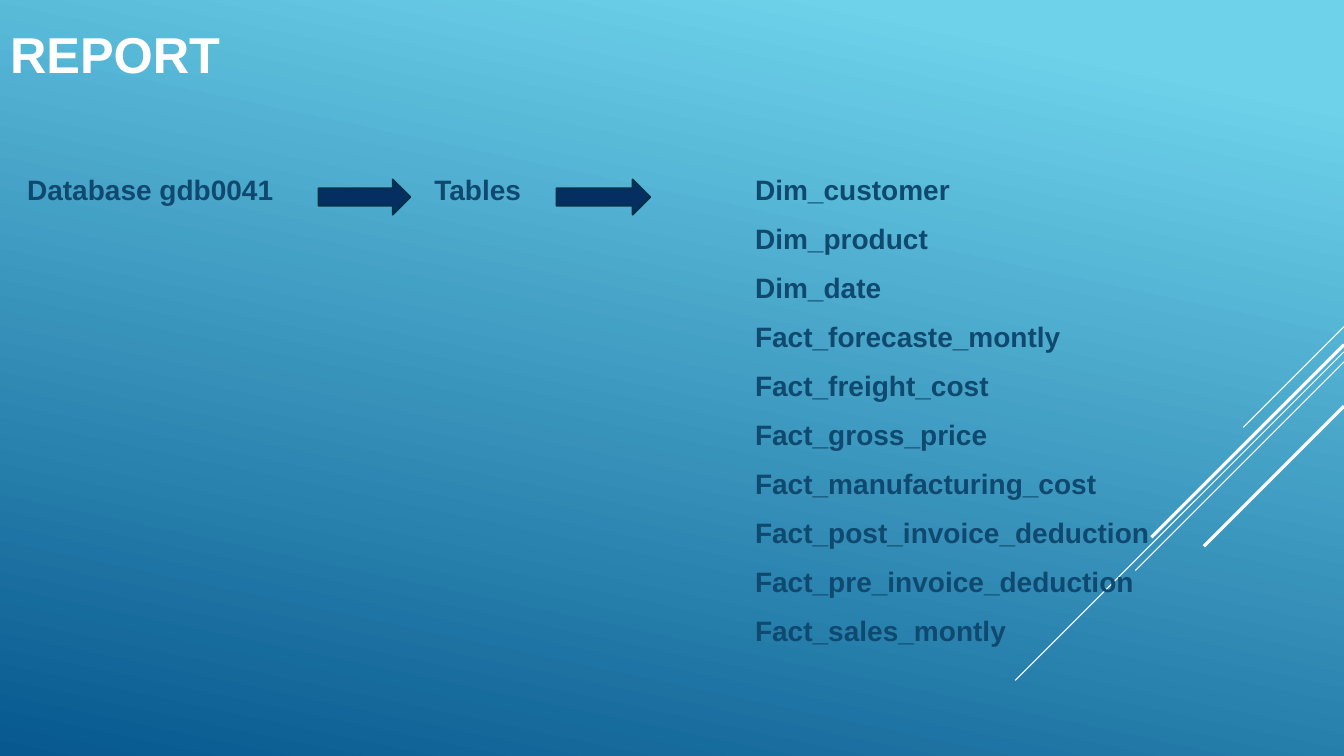
from lxml.etree import SubElement
from pptx import Presentation
from pptx.dml.color import RGBColor
from pptx.enum.shapes import MSO_CONNECTOR, MSO_SHAPE
from pptx.enum.text import MSO_ANCHOR, PP_ALIGN
from pptx.oxml.ns import qn
from pptx.util import Inches, Pt

WHITE = RGBColor(0xFF, 0xFF, 0xFF)
SKY = RGBColor(0x6E, 0xD2, 0xEB)
OCEAN = RGBColor(0x06, 0x58, 0x8E)
INK = RGBColor(0x0F, 0x49, 0x6F)
NAVY = RGBColor(0x05, 0x2F, 0x61)
NAVY_EDGE = RGBColor(0x04, 0x31, 0x48)

SLIDE_WIDTH, SLIDE_HEIGHT = 13.33, 7.5
ROW_TOP, LABEL_HEIGHT = 1.66, 0.7
ARROW_OFFSET, ARROW_HEIGHT = 0.12, 0.35
TABLE_NAMES = [
    "Dim_customer",
    "Dim_product",
    "Dim_date",
    "Fact_forecaste_montly",
    "Fact_freight_cost",
    "Fact_gross_price",
    "Fact_manufacturing_cost",
    "Fact_post_invoice_deduction",
    "Fact_pre_invoice_deduction",
    "Fact_sales_montly",
]
STRIPES = [(3.24, 1.0, 0.75), (3.49, 3.26, 0.75), (3.59, 2.07, 0.75),
           (3.42, 1.91, 2.25), (4.03, 1.39, 2.25)]


def write_text(frame, lines, size=20, color=INK, align=PP_ALIGN.LEFT,
               anchor=MSO_ANCHOR.TOP, before=5, after=6):
    """Fill a text frame with one bold paragraph per line."""
    frame.word_wrap = True
    frame.vertical_anchor = anchor
    for index, line in enumerate(lines):
        paragraph = frame.paragraphs[0] if index == 0 else frame.add_paragraph()
        paragraph.alignment = align
        paragraph.space_before = Pt(before if index else 0)
        paragraph.space_after = Pt(after)
        run = paragraph.add_run()
        run.text = line
        run.font.name = "Arial"
        run.font.size = Pt(size)
        run.font.bold = True
        run.font.color.rgb = color


def paint_background(slide):
    """Apply the sky-to-ocean gradient."""
    fill = slide.background.fill
    fill.gradient()
    fill.gradient_angle = 258
    for stop, position, color in zip(fill.gradient_stops, (0.1, 1), (SKY, OCEAN)):
        stop.position = position
        stop.color.rgb = color


def add_stripes(slide, right):
    """Draw 45-degree stripes running down and left from the right edge."""
    for top, length, weight in STRIPES:
        stripe = slide.shapes.add_connector(
            MSO_CONNECTOR.STRAIGHT, Inches(right), Inches(top),
            Inches(right - length), Inches(top + length))
        stripe.line.color.rgb = WHITE
        stripe.line.width = Pt(weight)
        SubElement(stripe.element.spPr, qn("a:effectLst"))


def add_title(slide, left, top, width, height):
    """Place and format the slide title."""
    title = slide.shapes.title
    title.left, title.top = Inches(left), Inches(top)
    title.width, title.height = Inches(width), Inches(height)
    write_text(title.text_frame, ["REPORT"], size=36, color=WHITE,
               align=PP_ALIGN.JUSTIFY, anchor=MSO_ANCHOR.BOTTOM, before=0, after=0)


def add_label(slide, lines, left, top, width, height):
    """Add a text box holding the given lines."""
    box = slide.shapes.add_textbox(
        Inches(left), Inches(top), Inches(width), Inches(height))
    write_text(box.text_frame, lines)


def add_arrow(slide, left, top, width):
    """Add a navy block arrow pointing right."""
    arrow = slide.shapes.add_shape(
        MSO_SHAPE.RIGHT_ARROW, Inches(left), Inches(top),
        Inches(width), Inches(ARROW_HEIGHT))
    arrow.shadow.inherit = False
    arrow.fill.solid()
    arrow.fill.fore_color.rgb = NAVY
    arrow.line.color.rgb = NAVY_EDGE
    arrow.line.width = Pt(1.25)


def add_flow(slide, left, top):
    """Lay out database, arrow, tables, arrow and table names in one row."""
    add_label(slide, ["Database gdb0041"], left, top, 2.99, LABEL_HEIGHT)
    add_arrow(slide, left + 2.99, top + ARROW_OFFSET, 0.91)
    add_label(slide, ["Tables"], left + 4.04, top, 1.63, LABEL_HEIGHT)
    add_arrow(slide, left + 5.35, top + ARROW_OFFSET, 0.93)
    add_label(slide, TABLE_NAMES, left + 7.22, top, 4.18, 5.32)


def main():
    """Build and save the report slide."""
    presentation = Presentation()
    presentation.slide_width = Inches(SLIDE_WIDTH)
    presentation.slide_height = Inches(SLIDE_HEIGHT)
    slide = presentation.slides.add_slide(presentation.slide_layouts[5])
    paint_background(slide)
    add_stripes(slide, SLIDE_WIDTH)
    add_title(slide, 0, 0, SLIDE_WIDTH, 0.88)
    add_flow(slide, 0.17, ROW_TOP)
    presentation.save("out.pptx")


if __name__ == "__main__":
    main()
